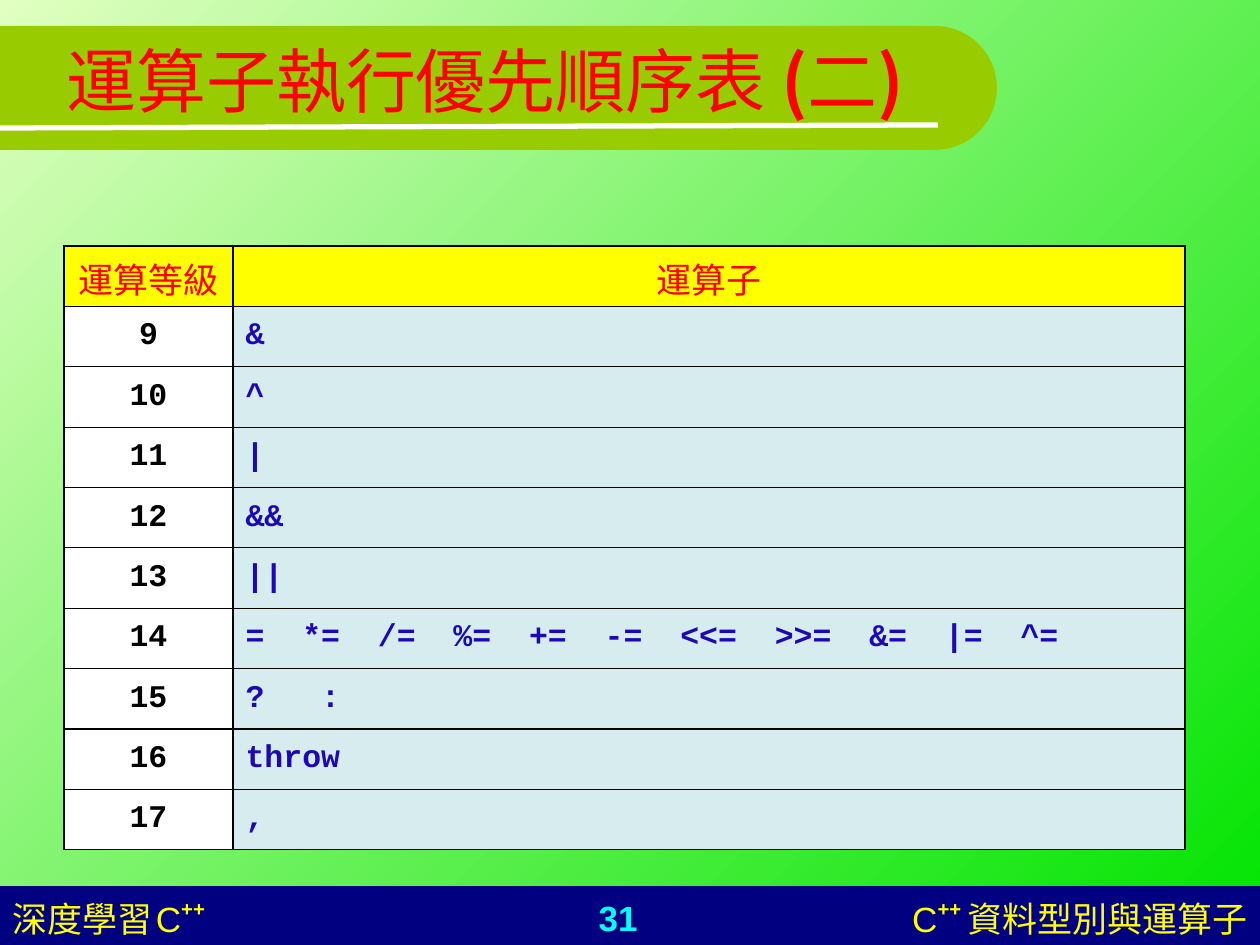
from dataclasses import dataclass
from math import cos, pi, sin

from lxml.etree import SubElement
from pptx import Presentation
from pptx.dml.color import RGBColor
from pptx.enum.shapes import MSO_CONNECTOR, MSO_SHAPE
from pptx.enum.text import MSO_ANCHOR as Anchor, PP_ALIGN as Align
from pptx.oxml.ns import qn
from pptx.util import Emu, Pt

RED = RGBColor(0xFF, 0x00, 0x00)
YELLOW = RGBColor(0xFF, 0xFF, 0x00)
CYAN = RGBColor(0x00, 0xFF, 0xFF)
WHITE = RGBColor(0xFF, 0xFF, 0xFF)
BLACK = RGBColor(0x00, 0x00, 0x00)
NAVY = RGBColor(0x00, 0x00, 0x80)
OLIVE = RGBColor(0x99, 0xCC, 0x00)
OPERATOR_BLUE = RGBColor(0x1C, 0x08, 0xB4)
PALE_BLUE = RGBColor(0xD6, 0xEC, 0xEE)
GRADIENT = (RGBColor(0xE0, 0xFF, 0xC1), RGBColor(0x00, 0xE4, 0x00))

PX_PER_INCH = 126
SLIDE_WIDTH, SLIDE_HEIGHT = 1260, 945
CJK_FONT = "Noto Sans CJK SC"


@dataclass(frozen=True)
class Run:
    text: str
    bold: bool = False
    size: int | None = None
    font: str | None = None
    raised: bool = False


@dataclass(frozen=True)
class Label:
    box: tuple[int, int, int, int]
    runs: list[Run]
    size: int
    color: RGBColor
    align: Align = Align.LEFT
    anchor: Anchor = Anchor.TOP


@dataclass(frozen=True)
class Precedence:
    level: str
    operators: str


LABELS = [
    Label((471, 890, 294, 55), [Run("31", bold=True)], 20, CYAN, Align.CENTER),
    Label((779, 890, 481, 55),
          [Run("C"), Run("++ ", bold=True, raised=True), Run("資料型別與運算子")],
          20, YELLOW, Align.RIGHT),
    Label((0, 890, 294, 55),
          [Run("深度學習"), Run(" ", size=8), Run("C"), Run("++", bold=True, raised=True)],
          20, YELLOW),
    Label((54, 0, 1134, 158),
          [Run("運算子執行優先順序表 "), Run("(", bold=True, font=CJK_FONT),
           Run("二"), Run(")", bold=True, font=CJK_FONT)],
          40, RED, anchor=Anchor.MIDDLE),
]

OPERATORS = ["&", "^", "|", "&&", "||",
             "=  *=  /=  %=  +=  -=  <<=  >>=  &=  |=  ^=",
             "?   :", "throw", ","]
PRECEDENCES = [Precedence(str(level), text) for level, text in enumerate(OPERATORS, 9)]


def px(value: float) -> Emu:
    return Emu(round(value * 914400 / PX_PER_INCH))


def write_text(text_frame, runs: list[Run], *, size: int, color: RGBColor,
               font: str = "Arial", align: Align = Align.LEFT) -> None:
    paragraph = text_frame.paragraphs[0]
    paragraph.alignment = align
    for part in runs:
        run = paragraph.add_run()
        run.text = part.text
        run.font.size = Pt(part.size or size)
        run.font.name = part.font or font
        run.font.bold = part.bold
        run.font.color.rgb = color
        if part.raised:
            run._r.get_or_add_rPr().set("baseline", "46000")


def paint(shape, color: RGBColor) -> None:
    shape.shadow.inherit = False
    shape.fill.solid()
    shape.fill.fore_color.rgb = color
    shape.line.fill.background()


def add_background(slide) -> None:
    fill = slide.background.fill
    fill.gradient()
    fill.gradient_angle = 315
    for stop, color in zip(fill.gradient_stops, GRADIENT):
        stop.color.rgb = color


def add_title_banner(slide) -> None:
    """Draw the band with a round right end, and the white rule on it."""
    top, bottom, straight_end = 26, 150, 935
    radius = (bottom - top) / 2
    steps = 48
    angles = [pi * step / steps - pi / 2 for step in range(steps + 1)]
    arc = [(px(straight_end + radius * cos(angle)), px(top + radius + radius * sin(angle)))
           for angle in angles]
    builder = slide.shapes.build_freeform(0, px(top), scale=1.0)
    builder.add_line_segments(arc + [(0, px(bottom))], close=True)
    paint(builder.convert_to_shape(), OLIVE)

    rule = slide.shapes.add_connector(MSO_CONNECTOR.STRAIGHT, 0, px(128), px(938), px(125))
    rule.line.color.rgb = WHITE
    rule.line.width = Pt(3)
    SubElement(rule._element.spPr, qn("a:effectLst"))


def add_label(slide, label: Label) -> None:
    text_frame = slide.shapes.add_textbox(*map(px, label.box)).text_frame
    text_frame.word_wrap = True
    text_frame.vertical_anchor = label.anchor
    write_text(text_frame, label.runs, size=label.size, color=label.color, align=label.align)


def add_borders(cell) -> None:
    properties = cell._tc.get_or_add_tcPr()
    for side in ("lnL", "lnR", "lnT", "lnB"):
        line = SubElement(properties, qn(f"a:{side}"), w=str(Pt(0.75)))
        fill = SubElement(line, qn("a:solidFill"))
        SubElement(fill, qn("a:srgbClr"), val=str(BLACK))


def fill_cell(cell, text: str, *, fill: RGBColor, color: RGBColor, size: int = 18,
              bold: bool = True, align: Align = Align.CENTER) -> None:
    add_borders(cell)
    cell.fill.solid()
    cell.fill.fore_color.rgb = fill
    cell.vertical_anchor = Anchor.MIDDLE
    write_text(cell.text_frame, [Run(text, bold=bold)], size=size, color=color,
               font="Courier New", align=align)


def add_precedence_table(slide) -> None:
    height = px(604)
    row_count = len(PRECEDENCES) + 1
    table = slide.shapes.add_table(row_count, 2, px(64), px(246), px(1121), height).table
    table.horz_banding = False
    table.first_row = False
    for column, width in zip(table.columns, (169, 952)):
        column.width = px(width)
    for row in table.rows:
        row.height = Emu(height // row_count)
    for index, heading in enumerate(("運算等級", "運算子")):
        fill_cell(table.cell(0, index), heading, fill=YELLOW, color=RED, size=20, bold=False)
    for index, precedence in enumerate(PRECEDENCES, 1):
        fill_cell(table.cell(index, 0), precedence.level, fill=WHITE, color=BLACK)
        fill_cell(table.cell(index, 1), precedence.operators, fill=PALE_BLUE,
                  color=OPERATOR_BLUE, align=Align.LEFT)


def main() -> None:
    presentation = Presentation()
    presentation.slide_width = px(SLIDE_WIDTH)
    presentation.slide_height = px(SLIDE_HEIGHT)
    slide = presentation.slides.add_slide(presentation.slide_layouts[6])
    add_background(slide)
    footer_top = 886
    footer = slide.shapes.add_shape(MSO_SHAPE.RECTANGLE, 0, px(footer_top), px(SLIDE_WIDTH),
                                    px(SLIDE_HEIGHT - footer_top))
    paint(footer, NAVY)
    add_title_banner(slide)
    for label in LABELS:
        add_label(slide, label)
    add_precedence_table(slide)
    presentation.save("out.pptx")


if __name__ == "__main__":
    main()
